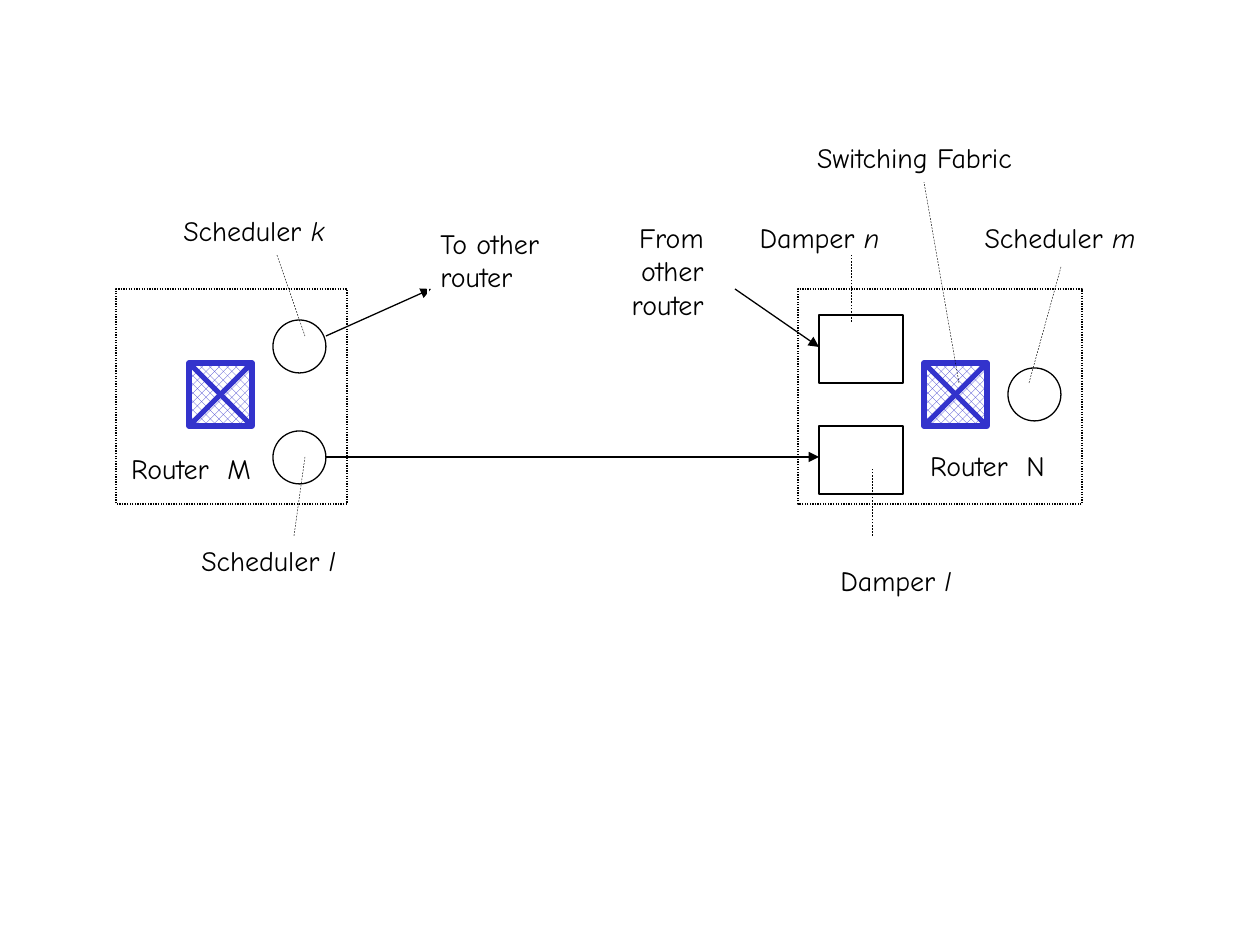
"""Draw the dampers and schedulers of two connected routers."""
import pptx
import pptx.dml.color
import pptx.enum.dml
import pptx.enum.shapes
import pptx.enum.text
import pptx.oxml
import pptx.oxml.ns
import pptx.util

BLACK = pptx.dml.color.RGBColor(0x00, 0x00, 0x00)
WHITE = pptx.dml.color.RGBColor(0xFF, 0xFF, 0xFF)
BLUE = pptx.dml.color.RGBColor(0x33, 0x33, 0xCC)
FONT = "Comic Neue"
PX_PER_INCH = 126
FABRIC_SIDE = 63
SCHEDULER_SIDE = 53
LABEL_HEIGHT = 47

DASH = pptx.enum.dml.MSO_LINE
SHAPE = pptx.enum.shapes.MSO_SHAPE
ALIGN = pptx.enum.text.PP_ALIGN


def px(*lengths):
    return [pptx.util.Emu(round(n * 914400 / PX_PER_INCH)) for n in lengths]


def style_line(line, color, width, dash=None):
    line.color.rgb = color
    line.width = pptx.util.Pt(width)
    if dash is not None:
        line.dash_style = dash


def add_outline(shapes, kind, box, color=BLACK, width=0.75, dash=None):
    outline = shapes.add_shape(kind, *px(*box))
    outline.shadow.inherit = False
    outline.fill.background()
    style_line(outline.line, color, width, dash)
    return outline


def add_line(shapes, start, end, color=BLACK, width=0.75, dash=None, arrow=False):
    straight = pptx.enum.shapes.MSO_CONNECTOR.STRAIGHT
    line = shapes.add_connector(straight, *px(*start, *end))
    style_line(line.line, color, width, dash)
    properties = line._element.spPr
    if arrow:
        tail = pptx.oxml.parse_xml(f'<a:tailEnd {pptx.oxml.ns.nsdecls("a")} type="triangle"/>')
        line.line._get_or_add_ln().append(tail)
    properties.append(pptx.oxml.parse_xml(f'<a:effectLst {pptx.oxml.ns.nsdecls("a")}/>'))


def add_leader(shapes, start, end):
    add_line(shapes, start, end, width=0.25, dash=DASH.DASH)


def add_fabric(shapes, left, top):
    group = shapes.add_group_shape().shapes
    right, bottom = left + FABRIC_SIDE, top + FABRIC_SIDE
    square = add_outline(group, SHAPE.RECTANGLE, (left, top, FABRIC_SIDE, FABRIC_SIDE), BLUE, 3)
    square.fill.patterned()
    square.fill.pattern = pptx.enum.dml.MSO_PATTERN.PERCENT_50
    square.fill.fore_color.rgb = BLUE
    square.fill.back_color.rgb = WHITE
    add_line(group, (left, top), (right, bottom), BLUE, 3)
    add_line(group, (right, top), (left, bottom), BLUE, 3)


def add_label(shapes, box, text, symbol="", align=ALIGN.CENTER, wrap=True, framed=True):
    label = shapes.add_textbox(*px(*box))
    if framed:
        style_line(label.line, WHITE, 0.75)
    frame = label.text_frame
    frame.word_wrap = wrap
    frame.auto_size = pptx.enum.text.MSO_AUTO_SIZE.SHAPE_TO_FIT_TEXT
    paragraph = frame.paragraphs[0]
    paragraph.alignment = align
    for words, italic in ((text, None), (symbol, True)):
        if words:
            run = paragraph.add_run()
            run.text = words
            run.font.name = FONT
            run.font.size = pptx.util.Pt(16)
            run.font.italic = italic
            run.font.color.rgb = BLACK


def add_scheduler(shapes, left, top):
    add_outline(shapes, SHAPE.OVAL, (left, top, SCHEDULER_SIDE, SCHEDULER_SIDE))


def add_damper(shapes, left, top):
    add_outline(shapes, SHAPE.RECTANGLE, (left, top, 84, 68))


def add_router(shapes, left, width):
    add_outline(shapes, SHAPE.RECTANGLE, (left, 289, width, 215), dash=DASH.ROUND_DOT)


def draw_routers(shapes):
    add_label(shapes, (910, 442, 155, LABEL_HEIGHT), "Router  N", wrap=False)
    add_label(shapes, (113, 445, 156, LABEL_HEIGHT), "Router  M", wrap=False)
    add_router(shapes, 116, 231)
    add_fabric(shapes, 189, 363)
    for top in (431, 320):
        add_scheduler(shapes, 273, top)
    add_router(shapes, 798, 284)
    for top in (426, 315):
        add_damper(shapes, 819, top)
    add_fabric(shapes, 924, 363)
    add_scheduler(shapes, 1008, 368)


def draw_links(shapes):
    for start, end in (((326, 457), (819, 457)), ((326, 336), (431, 289)),
                       ((735, 289), (819, 347))):
        add_line(shapes, start, end, arrow=True)
    for start, end in (((294, 536), (305, 457)), ((1029, 383), (1061, 267)),
                       ((872, 536), (872, 468)), ((959, 383), (924, 182)),
                       ((851, 322), (851, 255)), ((277, 255), (305, 336))):
        add_leader(shapes, start, end)


def draw_labels(shapes):
    for left, top, symbol, align in ((189, 537, "l", ALIGN.LEFT), (959, 214, "m", ALIGN.CENTER),
                                     (171, 207, "k", ALIGN.LEFT)):
        add_label(shapes, (left, top, 202, LABEL_HEIGHT), "Scheduler ", symbol, align)
    for left, top, symbol in ((735, 214, "n"), (811, 557, "l")):
        add_label(shapes, (left, top, 169, LABEL_HEIGHT), "Damper ", symbol, framed=False)
    add_label(shapes, (791, 134, 247, LABEL_HEIGHT), "Switching Fabric", wrap=False)
    add_label(shapes, (577, 214, 139, 115), "From other router", align=ALIGN.RIGHT)
    add_label(shapes, (428, 220, 139, 115), "To other router", align=ALIGN.LEFT)


def main():
    deck = pptx.Presentation()
    deck.slide_width, deck.slide_height = px(1260, 945)
    shapes = deck.slides.add_slide(deck.slide_layouts[6]).shapes
    draw_routers(shapes)
    draw_links(shapes)
    draw_labels(shapes)
    deck.save("out.pptx")


if __name__ == "__main__":
    main()
